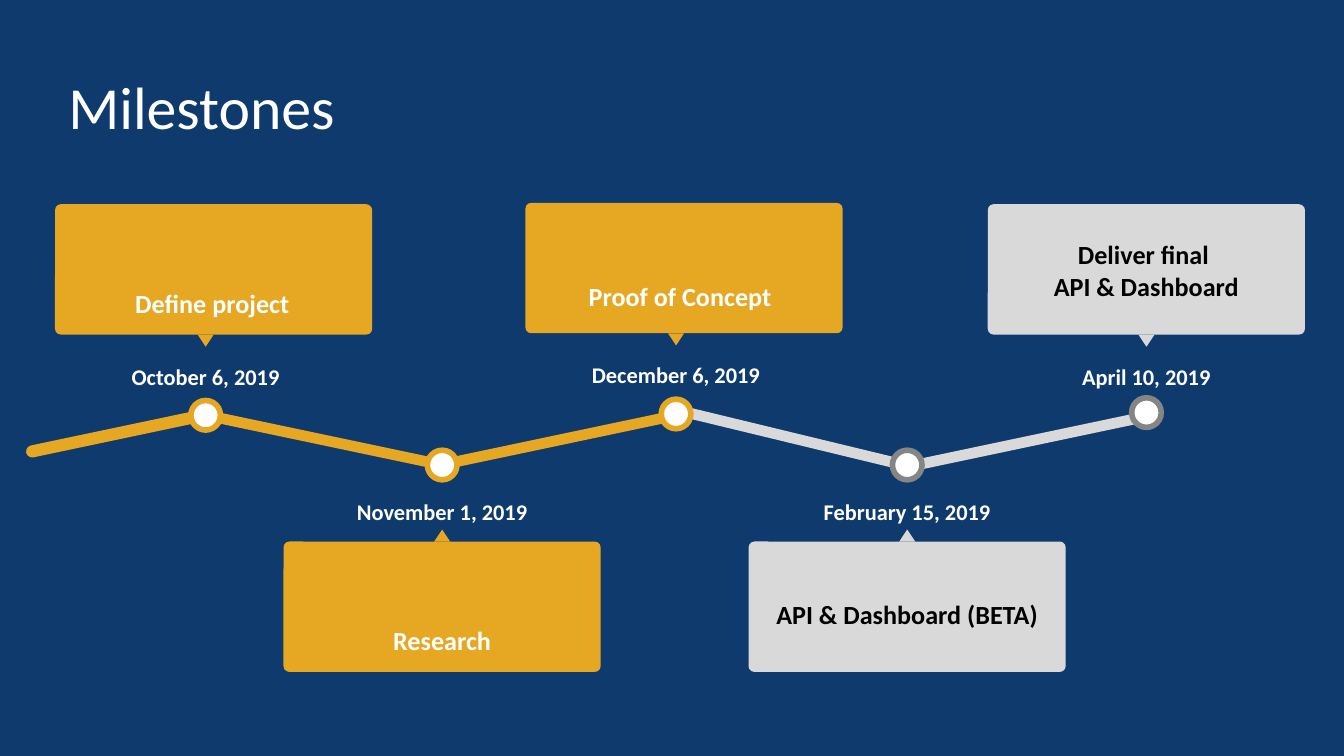
from pptx import Presentation
from pptx.dml.color import RGBColor
from pptx.enum.shapes import MSO_SHAPE as SHAPE
from pptx.enum.text import MSO_ANCHOR as ANCHOR, PP_ALIGN as ALIGN
from pptx.util import Inches, Pt

COLORS = {"navy": "0F3A6E", "gold": "E6A723", "silver": "D9D9D9",
          "gray": "858585", "white": "FFFFFF", "black": "000000"}


def add_figure(kind, left, top, width, height, color, rotation=0):
    figure = slide.shapes.add_shape(
        kind, Inches(left), Inches(top), Inches(width), Inches(height))
    figure.shadow.inherit = False
    figure.fill.solid()
    figure.fill.fore_color.rgb = RGBColor.from_string(COLORS[color])
    figure.line.fill.background()
    figure.rotation = rotation
    return figure


def add_text(lines, left, top, width, height, size, color="white", bold=True,
             align=ALIGN.CENTER, anchor=ANCHOR.TOP, spacing=1.0, after=0,
             fill=None):
    if fill:
        box = add_figure(SHAPE.RECTANGLE, left, top, width, height, fill)
    else:
        box = slide.shapes.add_textbox(
            Inches(left), Inches(top), Inches(width), Inches(height))
    frame = box.text_frame
    frame.word_wrap = True
    frame.vertical_anchor = anchor
    frame.margin_left = frame.margin_right = Inches(0.1)
    frame.margin_top = frame.margin_bottom = Inches(0.1)
    for i, line in enumerate(lines):
        paragraph = frame.add_paragraph() if i else frame.paragraphs[0]
        paragraph.alignment = align
        paragraph.line_spacing = spacing
        paragraph.space_after = Pt(after)
        run = paragraph.add_run()
        run.text = line
        run.font.name = "Calibri"
        run.font.size = Pt(size)
        run.font.bold = bold
        run.font.color.rgb = RGBColor.from_string(COLORS[color])


# Widescreen slide, 16:9
prs = Presentation()
prs.slide_width = Inches(10)
prs.slide_height = Inches(10 * 9 / 16)
slide = prs.slides.add_slide(prs.slide_layouts[6])
slide.background.fill.solid()
slide.background.fill.fore_color.rgb = RGBColor.from_string(COLORS["navy"])

# Title
add_text(["Milestones"], 0.41, 0.49, 4.83, 0.66, 32, bold=False,
         align=ALIGN.LEFT, anchor=ANCHOR.BOTTOM)

# Zigzag path: left, top, width, height, rotation, color
for left, top, width, height, rotation, color in [
    (6.79, 3.23, 1.86, 0.08, -11.9, "silver"),
    (5.01, 3.23, 1.86, 0.08, 13.6, "silver"),
    (3.25, 3.23, 1.86, 0.08, -11.9, "gold"),
    (1.46, 3.23, 1.86, 0.08, 11.9, "gold"),
    (0.18, 3.18, 1.39, 0.09, -11.9, "gold"),
]:
    segment = add_figure(SHAPE.ROUNDED_RECTANGLE, left, top, width, height,
                         color, rotation)
    segment.adjustments[0] = 0.5

# Milestones: date, caption, done, marker center x and y,
# card left and top, caption left, top and height
CARD_W, CARD_H, TEXT_W = 2.36, 0.97, 2.24
POINTER_W, POINTER_H, MARKER = 0.12, 0.09, 0.22
milestones = [
    ("October 6, 2019", ["Define project"], True,
     1.53, 3.09, 0.41, 1.52, 0.46, 1.61, 0.86),
    ("November 1, 2019", ["Research"], True,
     3.29, 3.46, 2.11, 4.03, 2.17, 4.12, 0.86),
    ("December 6, 2019", ["Proof of Concept"], True,
     5.03, 3.08, 3.91, 1.51, 3.94, 1.56, 0.86),
    ("February 15, 2019", ["API & Dashboard (BETA)"], False,
     6.75, 3.46, 5.57, 4.03, 5.63, 4.09, 0.92),
    ("April 10, 2019", ["Deliver final ", "API & Dashboard"], False,
     8.53, 3.07, 7.35, 1.52, 7.41, 1.58, 0.86),
]
for (date, caption, done, x, y, card_left, card_top,
     caption_left, caption_top, caption_h) in milestones:
    color = "gold" if done else "silver"
    above = card_top < y

    # Card and its pointer
    card = add_figure(SHAPE.ROUNDED_RECTANGLE, card_left, card_top,
                      CARD_W, CARD_H, color)
    card.adjustments[0] = 0.045
    pointer_top = card_top + CARD_H if above else card_top - POINTER_H
    add_figure(SHAPE.ISOSCELES_TRIANGLE, x - POINTER_W / 2, pointer_top,
               POINTER_W, POINTER_H, color, 180 if above else 0)
    add_text(caption, caption_left, caption_top, TEXT_W, caption_h, 14,
             color="white" if done else "black",
             anchor=ANCHOR.BOTTOM if done else ANCHOR.MIDDLE,
             spacing=1.15 if len(caption) == 1 else 1.0,
             after=16 if done else 0, fill="gold" if done else None)

    # Date and marker
    date_top = card_top + 1.05 if above else card_top - 0.45
    add_text([date], x - TEXT_W / 2, date_top, TEXT_W, 0.38, 12,
             spacing=1.15, after=16)
    marker = add_figure(SHAPE.OVAL, x - MARKER / 2, y - MARKER / 2,
                        MARKER, MARKER, "white")
    marker.line.color.rgb = RGBColor.from_string(
        COLORS["gold" if done else "gray"])
    marker.line.width = Pt(3)

prs.save("out.pptx")
